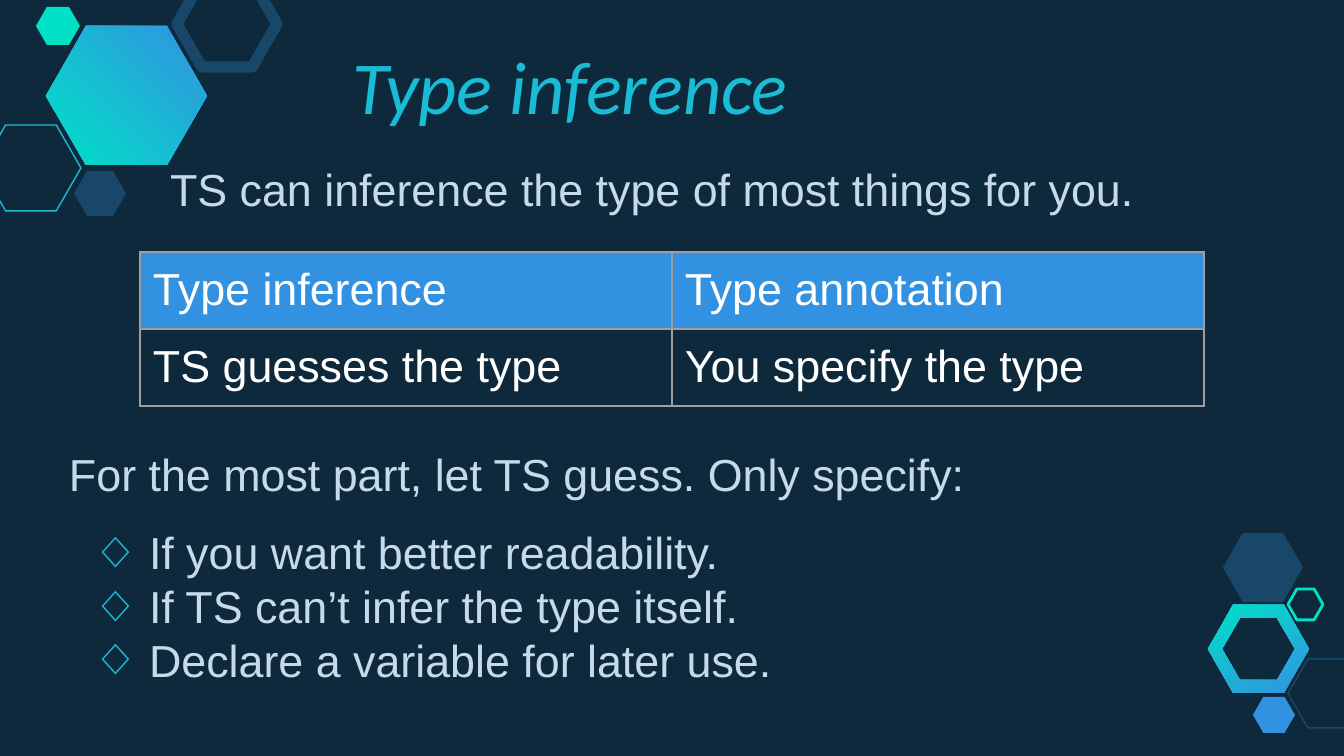
"""Builds a slide comparing type inference with type annotation."""
from lxml import etree
from pptx import Presentation
from pptx import util as u
from pptx.dml.color import RGBColor
from pptx.enum import shapes, text
from pptx.oxml import ns

COLORS = {
    "background": "0E293C", "title": "19BBD5", "body": "C6DAEC", "white": "FFFFFF",
    "blue": "3292E1", "navy": "184769", "teal": "00E1C6", "border": "9E9E9E",
}
SCALE = 914400 / 134.4
MARGIN = 13

TITLE = ("Type inference", (339, 30, 727, 112))
INTRO = ("TS can inference the type of most things for you.", (157, 149, 1047, 94))
ADVICE = ("For the most part, let TS guess. Only specify:", (56, 434, 1136, 78))
CASES = (
    ["If you want better readability.", "If TS can’t infer the type itself.",
     "Declare a variable for later use."],
    (69, 512, 1136, 216),
)
TABLE = [["Type inference", "Type annotation"],
         ["TS guesses the type", "You specify the type"]]
TABLE_LEFT, TABLE_TOP, COLUMN_WIDTH, ROW_HEIGHT = 140, 252, 532, 77

GRADIENT_HEXAGONS = [
    ([(1208, 605, 101, 88, 25), (1222, 618, 73, 62, 18)], 116),
    ([(46, 26, 161, 139, 40)], 225),
]
FILLED_HEXAGONS = [
    ((74, 171, 52, 45), "navy"), ((36, 7, 44, 38), "teal"),
    ((1253, 697, 42, 36), "blue"), ((1223, 533, 80, 69), "navy"),
]
OUTLINED_HEXAGONS = [
    ((-19, 125, 100, 86), "title", 0.75), ((177, -19, 100, 86), "navy", 6),
    ((1288, 659, 79, 69), "navy", 0.75), ((1288, 589, 35, 31), "teal", 1.5),
]


def px(length):
    return u.Emu(round(length * SCALE))


def color(name):
    return RGBColor.from_string(COLORS[name])


def format_runs(paragraph, size, name, font="Arial", italic=False):
    for run in paragraph.runs:
        run.font.size = u.Pt(size)
        run.font.name = font
        run.font.bold = False
        run.font.italic = italic
        run.font.color.rgb = color(name)


def place(shape, box):
    shape.left, shape.top, shape.width, shape.height = map(px, box)


def fill_placeholder(shape, lines, box, anchor=text.MSO_ANCHOR.TOP):
    place(shape, box)
    frame = shape.text_frame
    frame.text = "\n".join(lines)
    frame.word_wrap = True
    frame.auto_size = text.MSO_AUTO_SIZE.NONE
    frame.vertical_anchor = anchor
    frame.margin_left = frame.margin_right = px(MARGIN)
    frame.margin_top = frame.margin_bottom = px(MARGIN)
    for index, paragraph in enumerate(frame.paragraphs):
        paragraph.alignment = text.PP_ALIGN.LEFT
        paragraph.space_before = u.Pt(0 if index else 6)
        format_runs(paragraph, 24, "body")
    return frame


def add_bullet(paragraph):
    properties = paragraph._p.get_or_add_pPr()
    properties.set("marL", str(px(67)))
    properties.set("indent", str(px(-56)))
    bullet_color = etree.SubElement(properties, ns.qn("a:buClr"))
    etree.SubElement(bullet_color, ns.qn("a:srgbClr"), val=COLORS["title"])
    etree.SubElement(properties, ns.qn("a:buChar"), char="◇")


def add_borders(cell):
    properties = cell._tc.get_or_add_tcPr()
    for index, side in enumerate(("lnL", "lnR", "lnT", "lnB")):
        line = etree.Element(ns.qn("a:" + side), w=str(u.Pt(0.75)))
        fill = etree.SubElement(line, ns.qn("a:solidFill"))
        etree.SubElement(fill, ns.qn("a:srgbClr"), val=COLORS["border"])
        properties.insert(index, line)


def add_table(slide):
    rows, columns = len(TABLE), len(TABLE[0])
    box = (TABLE_LEFT, TABLE_TOP, columns * COLUMN_WIDTH, rows * ROW_HEIGHT)
    table = slide.shapes.add_table(rows, columns, *map(px, box)).table
    table.first_row = table.horz_banding = False
    for row, values in enumerate(TABLE):
        for column, value in enumerate(values):
            cell = table.cell(row, column)
            cell.text = value
            cell.margin_left = cell.margin_right = px(MARGIN)
            cell.margin_top = cell.margin_bottom = px(MARGIN)
            format_runs(cell.text_frame.paragraphs[0], 24, "white")
            if row == 0:
                cell.fill.solid()
                cell.fill.fore_color.rgb = color("blue")
            else:
                cell.fill.background()
            add_borders(cell)


def hexagon_points(left, top, width, height, inset):
    right, bottom, middle = left + width, top + height, top + height / 2
    return [(left, middle), (left + inset, top), (right - inset, top),
            (right, middle), (right - inset, bottom), (left + inset, bottom)]


def add_gradient_hexagon(slide, contours, angle):
    outlines = [hexagon_points(*contour) for contour in contours]
    builder = slide.shapes.build_freeform(*outlines[0][0], scale=SCALE)
    builder.add_line_segments(outlines[0][1:])
    for outline in outlines[1:]:
        builder.move_to(*outline[0])
        builder.add_line_segments(outline[:0:-1])
    shape = builder.convert_to_shape()
    shape.shadow.inherit = False
    shape.line.fill.background()
    shape.fill.gradient()
    shape.fill.gradient_angle = angle
    for stop, name in zip(shape.fill.gradient_stops, ("blue", "teal")):
        stop.color.rgb = color(name)


def add_hexagon(slide, box, name, line_width=None):
    shape = slide.shapes.add_shape(shapes.MSO_SHAPE.HEXAGON, *map(px, box))
    shape.adjustments[0] = 0.287
    shape.shadow.inherit = False
    if line_width:
        shape.fill.background()
        shape.line.color.rgb = color(name)
        shape.line.width = u.Pt(line_width)
    else:
        shape.fill.solid()
        shape.fill.fore_color.rgb = color(name)
        shape.line.fill.background()


def main():
    presentation = Presentation()
    presentation.slide_width, presentation.slide_height = px(1344), px(756)
    slide = presentation.slides.add_slide(presentation.slide_layouts[4])
    slide.background.fill.solid()
    slide.background.fill.fore_color.rgb = color("background")

    title, intro, cases, advice, spare = slide.placeholders
    spare.element.getparent().remove(spare.element)
    frame = fill_placeholder(title, [TITLE[0]], TITLE[1], text.MSO_ANCHOR.BOTTOM)
    frame.paragraphs[0].space_before = u.Pt(0)
    format_runs(frame.paragraphs[0], 40, "title", "Calibri", True)
    fill_placeholder(intro, [INTRO[0]], INTRO[1])
    fill_placeholder(advice, [ADVICE[0]], ADVICE[1])
    for paragraph in fill_placeholder(cases, *CASES).paragraphs:
        add_bullet(paragraph)

    for contours, angle in GRADIENT_HEXAGONS:
        add_gradient_hexagon(slide, contours, angle)
    for hexagon in FILLED_HEXAGONS + OUTLINED_HEXAGONS:
        add_hexagon(slide, *hexagon)
    add_table(slide)
    presentation.save("out.pptx")


if __name__ == "__main__":
    main()
